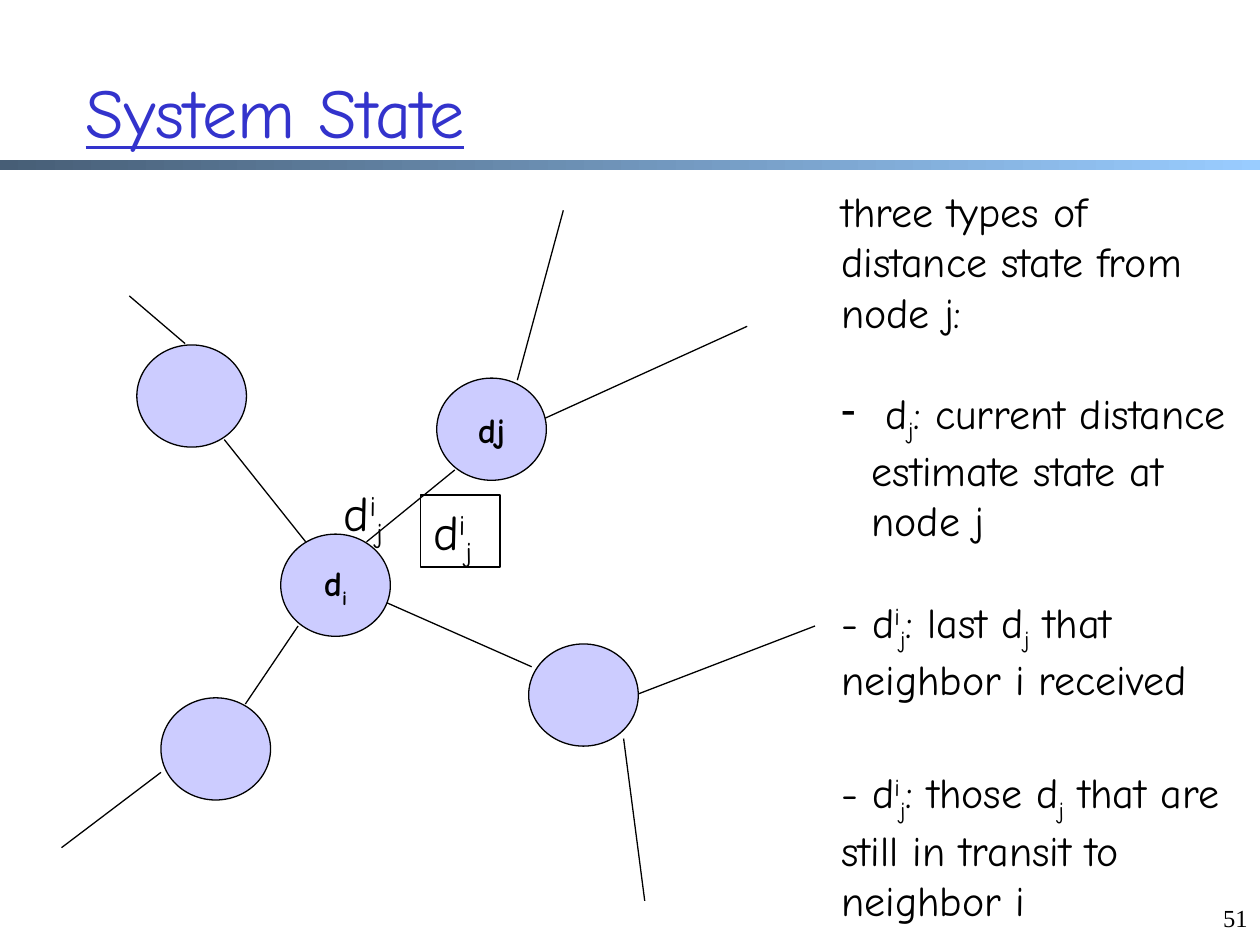
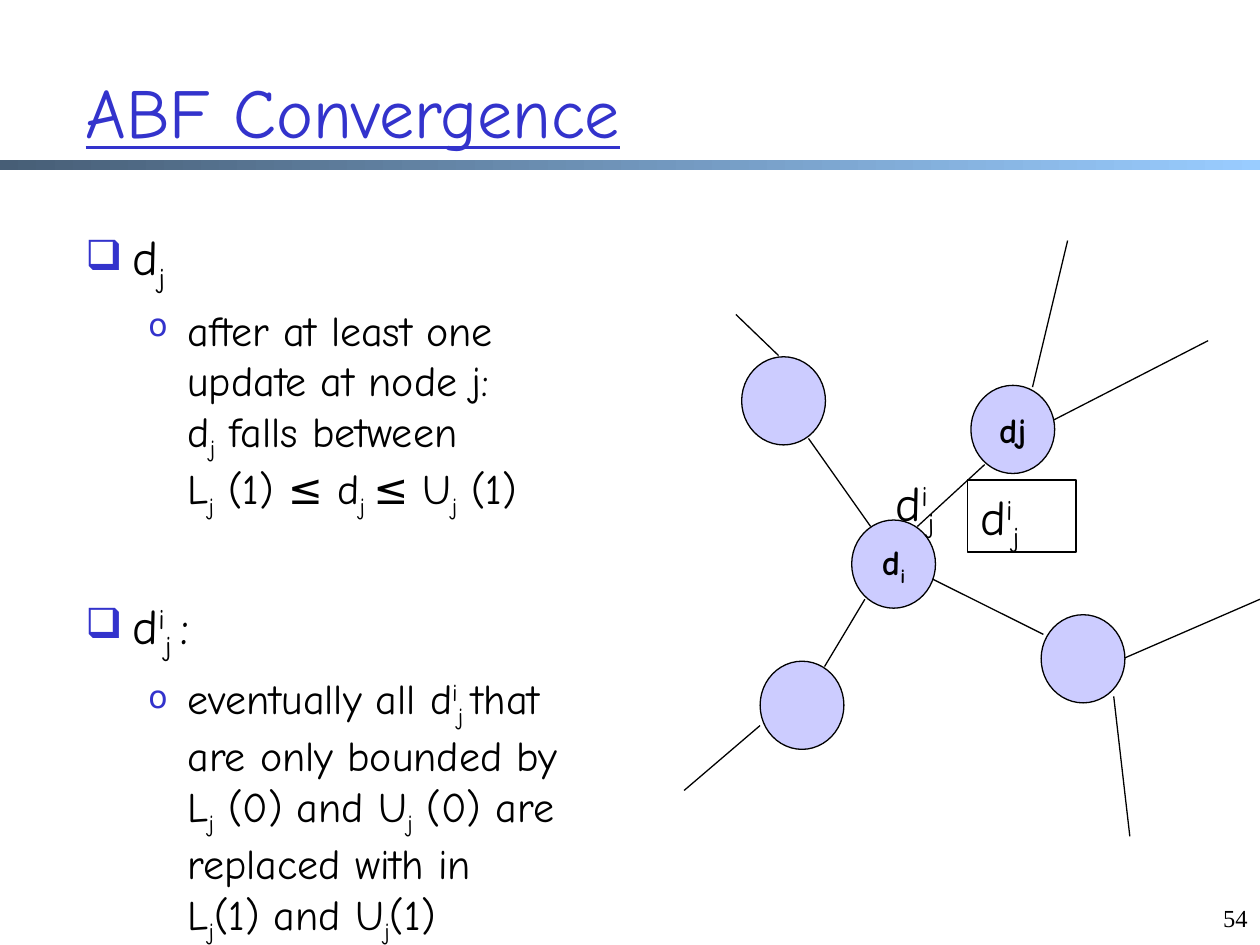
from lxml import etree
from pptx import Presentation
from pptx.dml.color import RGBColor
from pptx.enum.shapes import MSO_CONNECTOR, MSO_SHAPE
from pptx.enum.text import MSO_ANCHOR, MSO_AUTO_SIZE, PP_ALIGN
from pptx.oxml.ns import qn
from pptx.util import Cm, Pt

OVAL, RECTANGLE = MSO_SHAPE.OVAL, MSO_SHAPE.RECTANGLE
STRAIGHT = MSO_CONNECTOR.STRAIGHT
MIDDLE = MSO_ANCHOR.MIDDLE
CENTER, RIGHT, LEFT = PP_ALIGN.CENTER, PP_ALIGN.RIGHT, PP_ALIGN.LEFT
NO_AUTOFIT = MSO_AUTO_SIZE.NONE

COLORS = {
    "accent": "3333CC",
    "ink": "000000",
    "node": "CCCCFF",
    "band_start": "475E76",
    "band_end": "99CCFF",
}
BODY_FONT = "Comic Neue"
NUMBER_FONT = "Times New Roman"
SLIDE_WIDTH, SLIDE_HEIGHT = 25.4, 19.05
TITLE_ONLY = 5
BASELINES = {"^": "30000", "_": "-25000"}
ESTIMATE = "d|^i|_j"

# Network geometry, in percent of the diagram box
NODE_SIZE = (14.55, 14.8)
NODES = [
    (29.1, 46.9, "d|_i"),
    (49.8, 24.3, "dj"),
    (62.0, 62.8, ""),
    (13.2, 70.6, ""),
    (10.0, 19.5, ""),
]
LINKS = [
    (40.5, 48.0, 52.2, 37.6),
    (32.4, 48.0, 21.6, 33.2),
    (24.4, 71.5, 31.4, 60.2),
    (43.1, 56.8, 62.4, 66.1),
    (60.5, 24.6, 66.6, 0),
    (64.2, 30.1, 91.0, 16.8),
    (16.4, 19.3, 9.0, 12.4),
    (13.2, 81.4, 0, 92.3),
    (74.6, 76.5, 77.4, 100),
    (76.4, 70.1, 100, 60.2),
]


def rgb(name):
    return RGBColor.from_string(COLORS[name])


def add_run(paragraph, text, size, color="ink", font=BODY_FONT, bold=False):
    run = paragraph.add_run()
    run.text = text
    run.font.size = Pt(size)
    run.font.name = font
    run.font.bold = bold
    run.font.color.rgb = rgb(color)
    return run


def write_math(paragraph, markup, size, bold=False):
    """Write segments split by |, where ^ raises and _ lowers a segment."""
    for segment in markup.split("|"):
        baseline = BASELINES.get(segment[:1])
        text = segment[1:] if baseline else segment
        for index, line in enumerate(text.split("\n")):
            if index:
                paragraph.add_line_break()
            if line:
                run = add_run(paragraph, line, size, bold=bold)
                if baseline:
                    run.font._element.set("baseline", baseline)


def set_bullet(paragraph, char, indent, hanging, color="ink", percent=100):
    properties = paragraph._p.get_or_add_pPr()
    properties.set("marL", str(Cm(indent)))
    properties.set("indent", str(-Cm(hanging)))
    bullet_color = etree.SubElement(properties, qn("a:buClr"))
    etree.SubElement(bullet_color, qn("a:srgbClr")).set("val", COLORS[color])
    etree.SubElement(properties, qn("a:buSzPct")).set("val", str(percent * 1000))
    etree.SubElement(properties, qn("a:buChar")).set("char", char)


def add_text_area(slide, left, top, width, height):
    box = slide.shapes.add_textbox(Cm(left), Cm(top), Cm(width), Cm(height))
    box.text_frame.word_wrap = True
    return box


def next_paragraph(frame, index, space_before):
    """Return the first paragraph, or a new one set apart from the last."""
    if index == 0:
        return frame.paragraphs[0]
    paragraph = frame.add_paragraph()
    paragraph.space_before = Pt(space_before)
    return paragraph


def add_frame(deck, title_text, number):
    """Add a slide with its title, gradient band and slide number."""
    slide = deck.slides.add_slide(deck.slide_layouts[TITLE_ONLY])

    # Gradient band
    band = slide.shapes.add_shape(RECTANGLE, 0, Cm(3.23), Cm(SLIDE_WIDTH), Cm(0.2))
    band.shadow.inherit = False
    band.line.fill.background()
    band.fill.gradient()
    band.fill.gradient_angle = 0
    for stop, color in zip(band.fill.gradient_stops, ("band_start", "band_end")):
        stop.color.rgb = rgb(color)

    # Title
    title = slide.shapes.title
    title.left, title.top, title.width, title.height = (
        Cm(1.47), Cm(0.64), Cm(22.3), Cm(3.18))
    title.text_frame.auto_size = NO_AUTOFIT
    title.text_frame.vertical_anchor = MIDDLE
    heading = title.text_frame.paragraphs[0]
    heading.alignment = LEFT
    add_run(heading, title_text, 40, "accent").font.underline = True

    # Slide number
    corner = add_text_area(slide, 24.13, 18.08, 1.27, 1.27)
    corner_text = corner.text_frame.paragraphs[0]
    corner_text.alignment = RIGHT
    add_run(corner_text, str(number), 14, font=NUMBER_FONT)
    return slide


def add_estimate(slide, left, top, width, outlined):
    estimate = add_text_area(slide, left, top, width, 1.45)
    write_math(estimate.text_frame.paragraphs[0], ESTIMATE, 28)
    if outlined:
        estimate.line.color.rgb = rgb("ink")
        estimate.line.width = Pt(0.75)


def add_network(slide, left, top, width, height, received, in_transit):
    """Draw nodes and links in the box; each estimate is (dx, dy, width)."""
    def place(x, y):
        return Cm(left + width * x / 100), Cm(top + height * y / 100)

    # Links
    for x1, y1, x2, y2 in LINKS:
        link = slide.shapes.add_connector(STRAIGHT, *place(x1, y1), *place(x2, y2))
        link.line.color.rgb = rgb("ink")
        link.line.width = Pt(0.75)
        etree.SubElement(link._element.spPr, qn("a:effectLst"))

    # Nodes
    node_width, node_height = NODE_SIZE
    for x, y, name in NODES:
        node = slide.shapes.add_shape(
            OVAL, *place(x, y),
            Cm(width * node_width / 100), Cm(height * node_height / 100))
        node.shadow.inherit = False
        node.fill.solid()
        node.fill.fore_color.rgb = rgb("node")
        node.line.color.rgb = rgb("ink")
        node.line.width = Pt(0.75)
        if name:
            node.text_frame.word_wrap = False
            node.text_frame.vertical_anchor = MIDDLE
            node_text = node.text_frame.paragraphs[0]
            node_text.alignment = CENTER
            write_math(node_text, name, 20, bold=True)

    # Estimates beside the link between i and j
    for (dx, dy, label_width), outlined in ((received, False), (in_transit, True)):
        add_estimate(slide, left + dx, top + dy, label_width, outlined)


def add_state_notes(slide, left, top, width, height):
    """List the three kinds of distance state."""
    notes = [
        ("three types of distance state from node j:", 0, False),
        (" d|_j|: current distance estimate state at node j", 29, True),
        ("- d|^i|_j|: last d|_j| that neighbor i received", 29, False),
        ("- d|^i|_j|: those d|_j| that are still in transit to neighbor i", 36, False),
    ]
    frame = add_text_area(slide, left, top, width, height).text_frame
    for index, (markup, gap, bulleted) in enumerate(notes):
        paragraph = next_paragraph(frame, index, gap)
        if bulleted:
            set_bullet(paragraph, "-", 0.61, 0.61)
        write_math(paragraph, markup, 24)


def add_convergence_points(slide, left, top, width, height):
    """List each state with the bounds it converges to."""
    points = [
        ("d|_j",
         "after at least one\nupdate at node j:\nd|_j| falls between\n"
         "L|_j| (1) ≤ d|_j |≤ U|_j| (1)"),
        ("d|^i|_j |:",
         "eventually all d|^i|_j |that\nare only bounded by\n"
         "L|_j| (0) and U|_j| (0) are\nreplaced with in\n"
         "L|_j|(1) and U|_j|(1)"),
    ]
    frame = add_text_area(slide, left, top, width, height).text_frame
    for index, (state, bounds) in enumerate(points):
        state_line = next_paragraph(frame, index, 43)
        set_bullet(state_line, "❑", 0.95, 0.95, "accent", 85)
        write_math(state_line, state, 28)

        bounds_line = frame.add_paragraph()
        bounds_line.level = 1
        bounds_line.space_before = Pt(6)
        set_bullet(bounds_line, "o", 2.06, 0.79, "accent", 75)
        write_math(bounds_line, bounds, 24)


def main():
    deck = Presentation()
    deck.slide_width, deck.slide_height = Cm(SLIDE_WIDTH), Cm(SLIDE_HEIGHT)

    system_state = add_frame(deck, "System State", 51)
    add_network(system_state, 1.24, 4.24, 15.19, 13.92,
                received=(5.44, 5.36, 1.6), in_transit=(7.24, 5.74, 1.6))
    add_state_notes(system_state, 16.71, 3.61, 8.3, 14.94)

    convergence = add_frame(deck, "ABF Convergence", 54)
    add_convergence_points(convergence, 1.47, 4.45, 15.65, 13.49)
    add_network(convergence, 13.79, 4.85, 11.61, 12.01,
                received=(4.01, 4.55, 1.85), in_transit=(5.72, 4.83, 2.18))

    deck.save("out.pptx")


if __name__ == "__main__":
    main()
